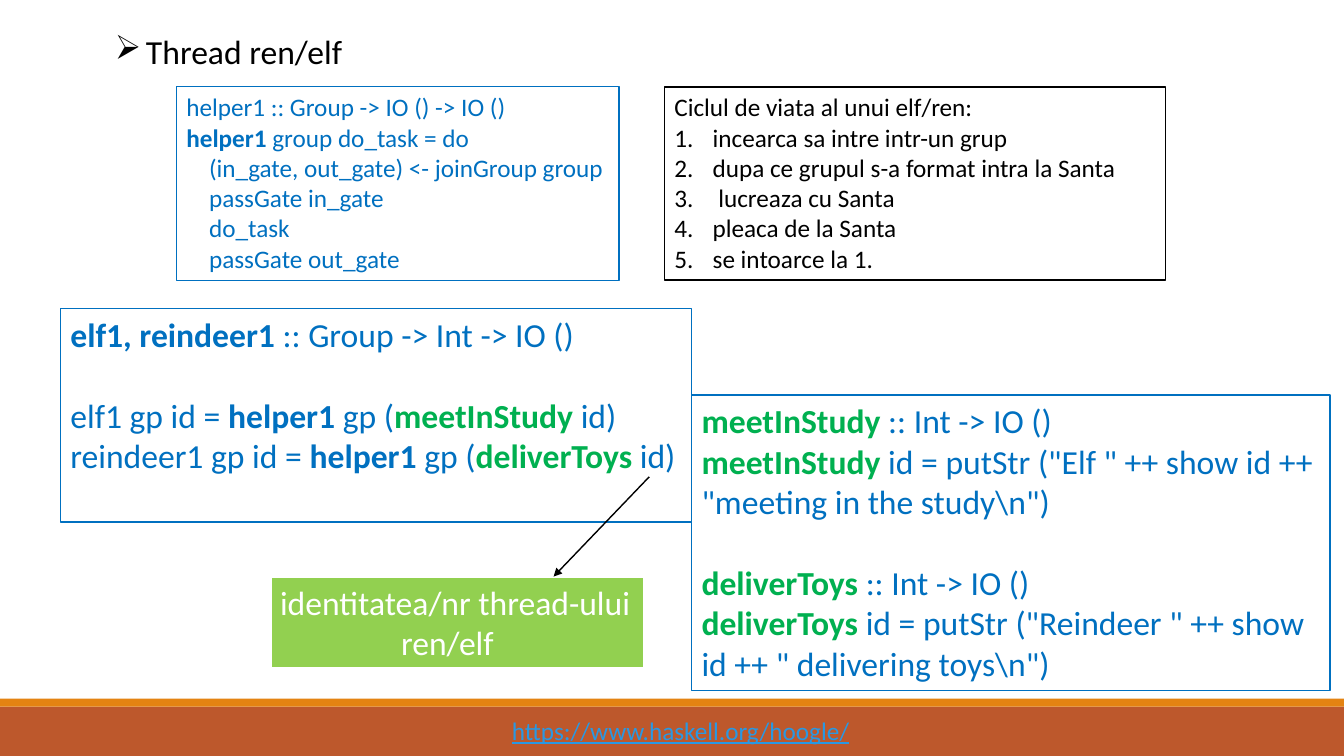
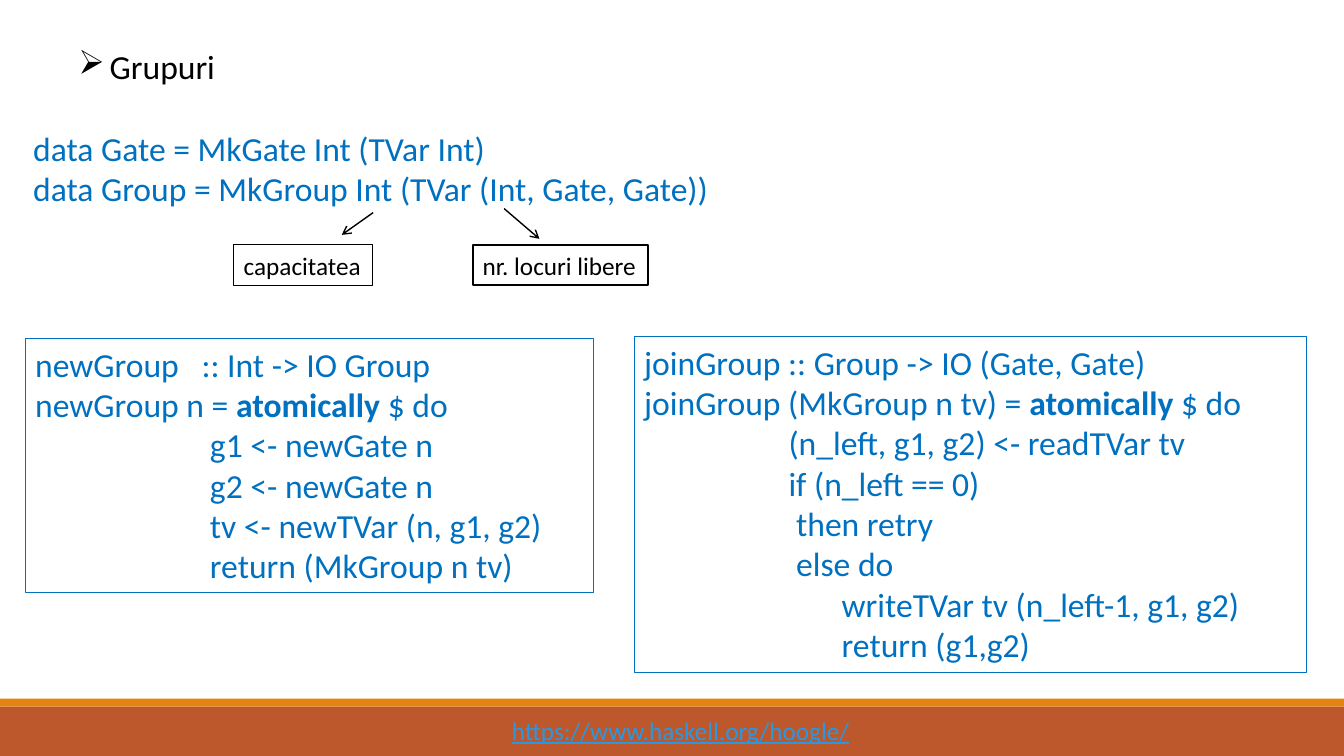
import pptx
import pptx.util
import pptx.dml.color
import pptx.enum.shapes
import pptx.enum.text
import pptx.oxml.ns
import lxml.etree

Pt = pptx.util.Pt
Inches = pptx.util.Inches
SIZE = (Inches(13.33), Inches(7.5))
FONT = "Calibri"
HUE = {"code": "0070C0", "task": "00B050", "ink": "000000", "paper": "FFFFFF",
       "note": "92D050", "band": "BD582C", "edge": "E48312", "link": "2998E3"}
TASKS = {"meetInStudy", "deliverToys"}
URL = "https://www.haskell.org/hoogle/"

HELPER = """helper1 :: Group -> IO () -> IO ()
*helper1* group do_task = do
    (in_gate, out_gate) <- joinGroup group
    passGate in_gate
    do_task
    passGate out_gate"""

STEPS = """Ciclul de viata al unui elf/ren:
incearca sa intre intr-un grup
dupa ce grupul s-a format intra la Santa
 lucreaza cu Santa
pleaca de la Santa
se intoarce la 1."""

ACTORS = """*elf1, reindeer1 *:: Group -> Int -> IO ()
elf1 gp id = *helper1* gp (*meetInStudy* id)
reindeer1 gp id = *helper1* gp (*deliverToys* id)"""

ACTIONS = r"""*meetInStudy* :: Int -> IO ()
*meetInStudy* id = putStr ("Elf " ++ show id ++
"meeting in the study\n")
*deliverToys* :: Int -> IO ()
*deliverToys* id = putStr ("Reindeer " ++ show id ++ " delivering toys\n")"""

TYPES = """data Gate = MkGate Int (TVar Int)
data Group = MkGroup Int (TVar (Int, Gate, Gate))"""

JOIN = """joinGroup :: Group -> IO (Gate, Gate)
joinGroup (MkGroup n tv) = *atomically* $ do
                   (n_left, g1, g2) <- readTVar tv
                   if (n_left == 0)
                    then retry
                    else do
                          writeTVar tv (n_left-1, g1, g2)
                          return (g1,g2)"""

NEW = """newGroup   :: Int -> IO Group
newGroup n = *atomically* $ do
                       g1 <- newGate n
                       g2 <- newGate n
                       tv <- newTVar (n, g1, g2)
                       return (MkGroup n tv)"""


def tint(name):
    return pptx.dml.color.RGBColor.from_string(HUE[name])


def spot(area, x, y):
    """Point at x, y percent of the area."""
    left, top, wide, high = area
    return int(left + wide * x / 100), int(top + high * y / 100)


def part(area, x, y, w, h):
    """Box given in percent of the area."""
    return (*spot(area, x, y), int(area[2] * w / 100), int(area[3] * h / 100))


def child(node, tag, **attrs):
    return lxml.etree.SubElement(node, pptx.oxml.ns.qn(tag), attrs)


def indent(para, left, hang=0, mark=None):
    """Set the indent and, if a mark is given, a bullet or number."""
    props = para._p.get_or_add_pPr()
    props.set("marL", str(Inches(left)))
    props.set("indent", str(-Inches(hang)))
    if mark == "1.":
        child(props, "a:buAutoNum", type="arabicPeriod")
    elif mark:
        child(props, "a:buChar", char=mark)


def write(frame, text, size, hue, gap=None, dents=None, **style):
    """Fill a frame; *stars* mark bold, gap is the line after a blank row."""
    for key, val in {"word_wrap": True,
                     "vertical_anchor": pptx.enum.text.MSO_ANCHOR.TOP}.items():
        setattr(frame, key, val)
    for row, line in enumerate(text.split("\n")):
        para = frame.paragraphs[0] if row == 0 else frame.add_paragraph()
        para.alignment = pptx.enum.text.PP_ALIGN.LEFT
        if row == gap:
            para.space_before = Pt(size * 1.22)
        if dents and row in dents:
            indent(para, *dents[row])
        for pos, piece in enumerate(line.split("*")):
            if not piece:
                continue
            run = para.add_run()
            run.text = piece
            form = {"name": FONT, "size": Pt(size), "bold": pos % 2 == 1, **style}
            for key, val in form.items():
                setattr(run.font, key, val)
            run.font.color.rgb = tint("task" if piece in TASKS else hue)


def block(slide, box, fill=None, line=None, width=0.75):
    shape = slide.shapes.add_shape(pptx.enum.shapes.MSO_SHAPE.RECTANGLE, *box)
    shape.shadow.inherit = False
    for paint, hue in ((shape.fill, fill), (shape.line.fill, line)):
        if hue:
            paint.solid()
            paint.fore_color.rgb = tint(hue)
        else:
            paint.background()
    if line:
        shape.line.width = Pt(width)
    return shape


def panel(slide, box, text, size=24, hue="code", line="code", fill=None,
          width=0.75, **more):
    shape = block(slide, box, fill, line, width)
    write(shape.text_frame, text, size, hue, **more)


def label(slide, box, text, size=24, hue="code", **more):
    shape = slide.shapes.add_textbox(*box)
    write(shape.text_frame, text, size, hue, **more)


def title(slide, box, text):
    label(slide, box, text, hue="ink", dents={0: (0.31, 0.31, "➢")})


def arrow(slide, start, end, head):
    line = slide.shapes.add_connector(
        pptx.enum.shapes.MSO_CONNECTOR.STRAIGHT, *start, *end)
    line.line.color.rgb = tint("ink")
    line.line.width = Pt(1)
    child(line.line._get_or_add_ln(), "a:tailEnd", type=head)
    child(line._element.spPr, "a:effectLst")


def footer(slide, area):
    block(slide, part(area, 0, 14, 100, 86), "band")
    block(slide, part(area, 0, 0, 100, 14), "edge")
    label(slide, part(area, 37.36, 20, 28, 70), URL, 18, "link", underline=True)


def threads(slide, area):
    # Helper code and life cycle
    panel(slide, part(area, 13.13, 11.47, 32.93, 25.6), HELPER, 18)
    panel(slide, part(area, 49.44, 11.47, 37.28, 25.6), STEPS, 18, "ink", "ink",
          "paper", 1.25, dents={row: (0.38, 0.38, "1.") for row in range(1, 6)})
    # Elf and reindeer code
    panel(slide, part(area, 4.5, 40.8, 46.96, 28.27), ACTORS, fill="paper",
          width=1.25, gap=1)
    title(slide, part(area, 7.8, 3.47, 30, 6.67), "Thread ren/elf")
    panel(slide, part(area, 51.46, 52.27, 47.49, 39.07), ACTIONS, fill="paper",
          width=1.25, gap=3)
    # Note on the id
    panel(slide, part(area, 20.1, 76.27, 27.83, 12.13),
          "identitatea/nr thread-ului\nren/elf", hue="paper", line="paper",
          fill="note", width=2, dents={1: (1.2,)})
    arrow(slide, spot(area, 48.31, 63.07), spot(area, 41.19, 76.27), "triangle")


def groups(slide, area):
    title(slide, part(area, 5.1, 5.47, 30, 6.67), "Grupuri")
    # Types with their notes
    label(slide, part(area, 1.73, 16.2, 55, 12), TYPES)
    notes = (("capacitatea", 17.4, 10.35, None, 0.75, (27.76, 28.13), (25.43, 31.07)),
             ("nr. locuri libere", 35.18, 13.05, "paper", 1.25,
              (37.51, 27.6), (40.14, 31.6)))
    for text, x, wide, fill, width, start, end in notes:
        panel(slide, part(area, x, 32.4, wide, 5.33), text, 18, "ink", "ink",
              fill, width)
        arrow(slide, spot(area, *start), spot(area, *end), "arrow")
    # Group code
    panel(slide, part(area, 47.19, 44.53, 50.04, 44.4), JOIN)
    panel(slide, part(area, 1.88, 44.8, 42.31, 33.6), NEW)


def main():
    deck = pptx.Presentation()
    deck.slide_width, deck.slide_height = SIZE
    page = (0, 0, *SIZE)
    for draw in (threads, groups):
        slide = deck.slides.add_slide(deck.slide_layouts[6])
        footer(slide, part(page, 0, 92.4, 100, 7.6))
        draw(slide, page)
    deck.save("out.pptx")


if __name__ == "__main__":
    main()
